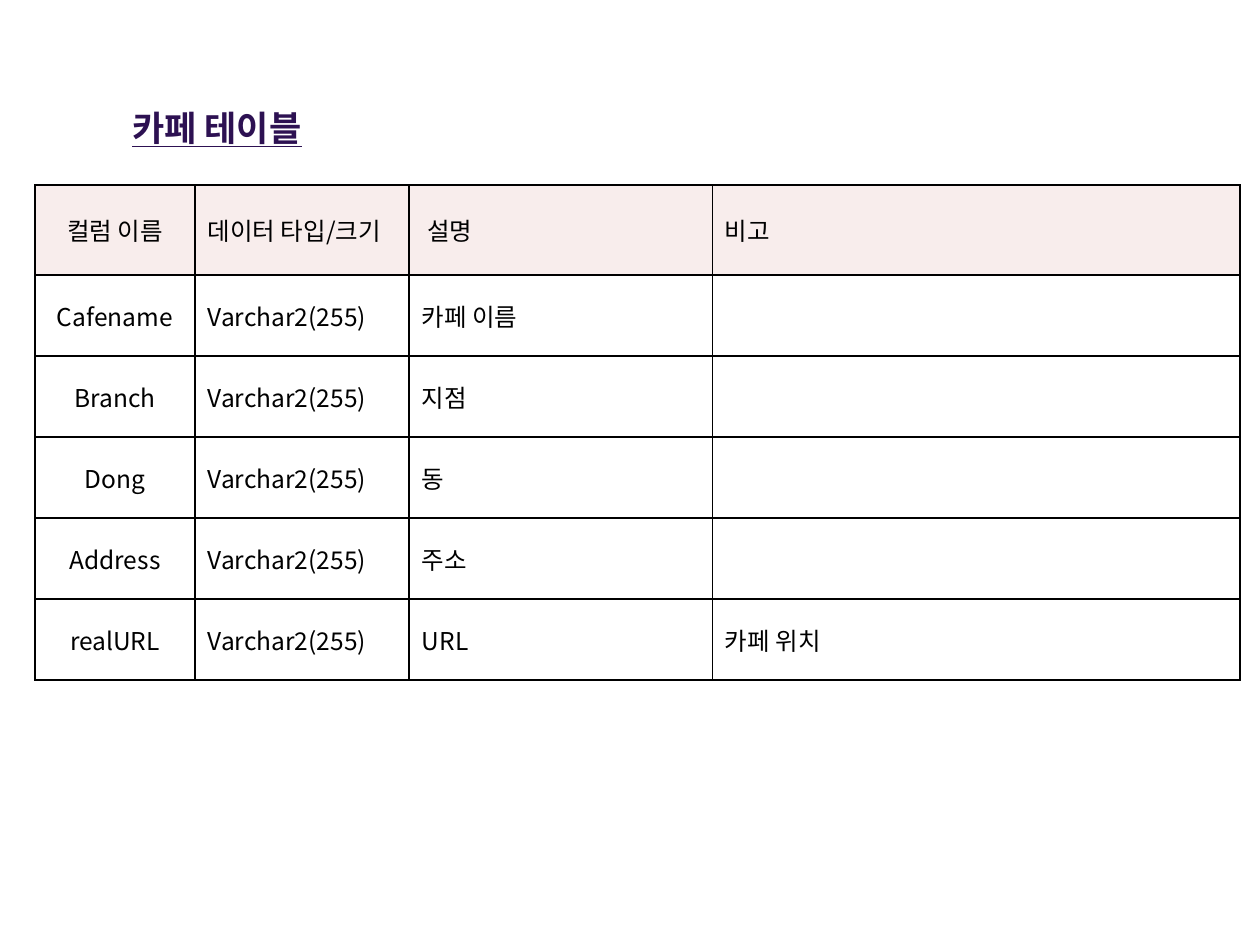
from lxml import etree
from pptx import Presentation
from pptx.dml.color import RGBColor
from pptx.enum.text import MSO_ANCHOR, MSO_AUTO_SIZE, PP_ALIGN
from pptx.oxml.ns import qn
from pptx.util import Pt

MIDDLE = MSO_ANCHOR.MIDDLE
NO_FIT = MSO_AUTO_SIZE.NONE
LEFT, CENTER = PP_ALIGN.LEFT, PP_ALIGN.CENTER

COLORS = {"title": "2D1152", "text": "000000", "border": "000000", "header": "F2DCDB"}
TITLE_FONT, TABLE_FONT = "Arial", "Noto Sans CJK KR"
COL_WIDTHS = [91.4, 122.4, 173.3, 301.4]
HEADER_HEIGHT, ROW_HEIGHT = 51.4, 46.3

HEADER = ["컬럼 이름", "데이터 타입/크기", " 설명", "비고"]
COLUMNS = [
    ("Cafename", "카페 이름", ""),
    ("Branch", "지점", ""),
    ("Dong", "동", ""),
    ("Address", "주소", ""),
    ("realURL", "URL", "카페 위치"),
]


def add_run(p, text, font, size, color):
    r = p.add_run()
    r.text = text
    r.font.name = font
    r.font.size = Pt(size)
    r.font.color.rgb = RGBColor.from_string(COLORS[color])
    etree.SubElement(r.font._element, qn("a:ea"), typeface=TABLE_FONT)
    return r


def add_title(s, text):
    sp = s.shapes.title
    sp.left, sp.top, sp.width, sp.height = Pt(68.4), Pt(56.9), Pt(122.4), Pt(31.7)
    tf = sp.text_frame
    tf.word_wrap = False
    tf.auto_size = NO_FIT
    tf.vertical_anchor = MIDDLE
    p = tf.paragraphs[0]
    p.alignment = LEFT
    r = add_run(p, text, TITLE_FONT, 20, "title")
    r.font.bold = True
    r.font.underline = True


def set_borders(cell):
    tc_pr = cell._tc.get_or_add_tcPr()
    for i, side in enumerate(("lnL", "lnR", "lnT", "lnB")):
        ln = etree.Element(qn(f"a:{side}"), w=str(Pt(1)))
        fill = etree.SubElement(ln, qn("a:solidFill"))
        etree.SubElement(fill, qn("a:srgbClr"), val=COLORS["border"])
        tc_pr.insert(i, ln)


def fill_cell(cell, is_header):
    if not is_header:
        cell.fill.background()
        return
    cell.fill.solid()
    cell.fill.fore_color.rgb = RGBColor.from_string(COLORS["header"])
    color = cell._tc.tcPr.find(".//" + qn("a:srgbClr"))
    etree.SubElement(color, qn("a:alpha"), val="50000")


def add_table(s, rows):
    heights = [HEADER_HEIGHT] + [ROW_HEIGHT] * (len(rows) - 1)
    table = s.shapes.add_table(len(rows), len(COL_WIDTHS), Pt(20), Pt(105.8),
                               Pt(sum(COL_WIDTHS)), Pt(sum(heights))).table
    table.first_row = table.horz_banding = False
    for col, width in zip(table.columns, COL_WIDTHS):
        col.width = Pt(width)
    for i, (row, height) in enumerate(zip(rows, heights)):
        table.rows[i].height = Pt(height)
        for j, text in enumerate(row):
            cell = table.cell(i, j)
            cell.vertical_anchor = MIDDLE
            fill_cell(cell, i == 0)
            set_borders(cell)
            p = cell.text_frame.paragraphs[0]
            p.alignment = CENTER if j == 0 else LEFT
            if text:
                add_run(p, text, TABLE_FONT, 14, "text")


def main():
    """Build the slide that describes the columns of the cafe table."""
    prs = Presentation()
    prs.slide_width, prs.slide_height = Pt(720), Pt(540)
    s = prs.slides.add_slide(prs.slide_layouts[5])
    add_table(s, [HEADER] + [(name, "Varchar2(255)", *rest) for name, *rest in COLUMNS])
    add_title(s, "카페 테이블")
    prs.save("out.pptx")


if __name__ == "__main__":
    main()
